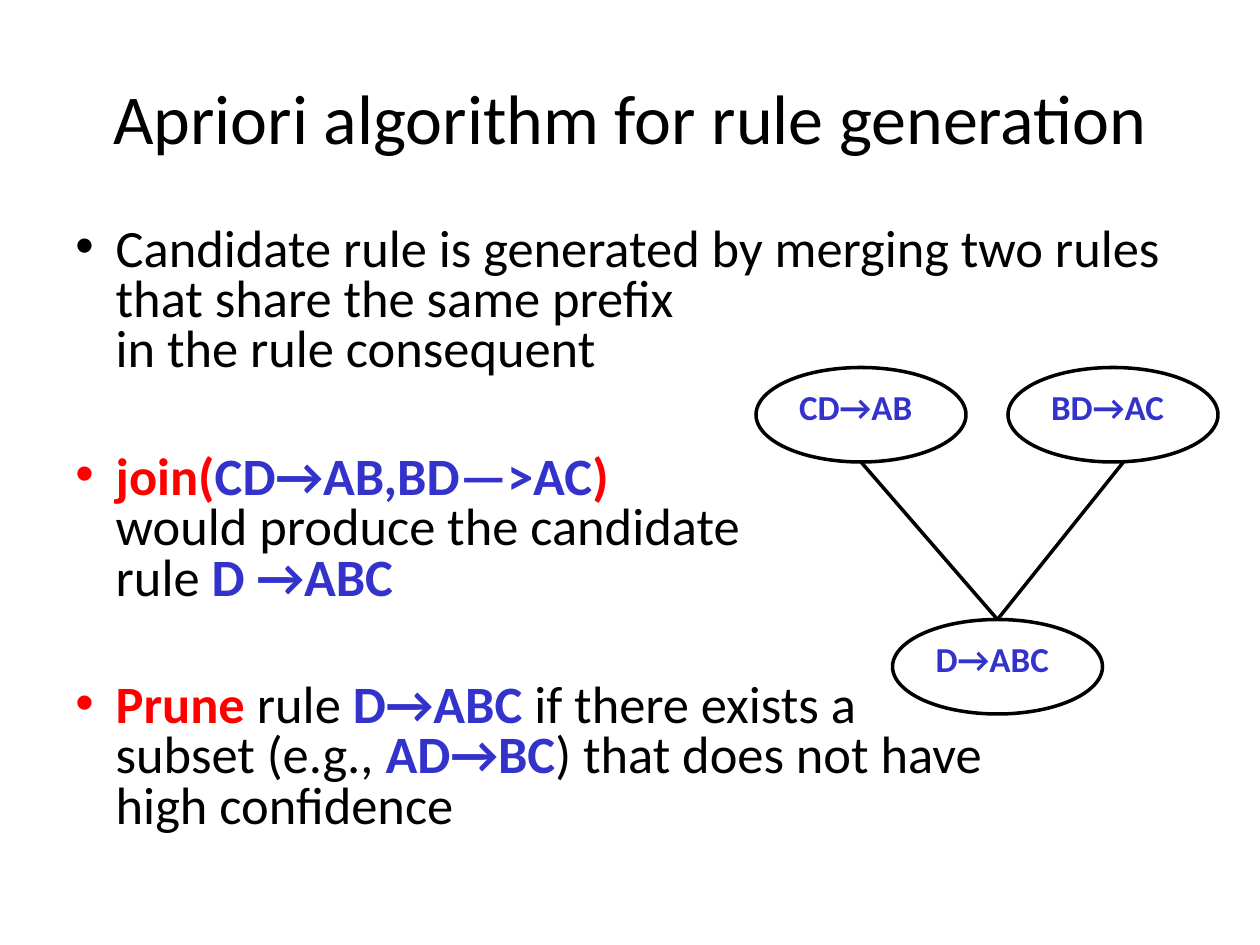
from lxml import etree
from pptx import Presentation
from pptx import util as u
from pptx.dml.color import RGBColor
from pptx.enum import shapes, text
from pptx.oxml.ns import qn

FONT = "Calibri"
BLACK, RED, BLUE = "000000", "FF0000", "3333CC"
UNIT = 1 / 12  # grid step of the diagram, in inches
NODE = (20, 9)  # oval width and height in grid steps

POINTS = [
    [("Candidate rule is generated by merging two rules that share "
      "the same prefix\nin the rule consequent", BLACK, False)],
    [("join(", RED, True), ("CD→AB,BD—>AC", BLUE, True), (")\n", RED, True),
     ("would produce the candidate\nrule ", BLACK, False),
     ("D →ABC", BLUE, True)],
    [("Prune", RED, True), (" rule ", BLACK, False), ("D→ABC ", BLUE, True),
     ("if there exists a\nsubset (e.g., ", BLACK, False),
     ("AD→BC", BLUE, True),
     (") that does not have\nhigh confidence", BLACK, False)],
]
NODES = [("CD→AB", 72, 35), ("BD→AC", 96, 35), ("D→ABC", 85, 59)]
EDGES = [(82, 44, 95, 59), (107, 44, 95, 59)]


def color(value):
    return RGBColor.from_string(value)


def grid(*steps):
    return [u.Inches(n * UNIT) for n in steps]


def write(para, words, size=30, tint=BLACK, bold=False):
    """Add words to a paragraph; a newline becomes a line break."""
    for i, part in enumerate(words.split("\n")):
        if i:
            para.add_line_break()
        if part:
            run = para.add_run()
            run.text = part
            run.font.name = FONT
            run.font.size = u.Pt(size)
            run.font.bold = bold
            run.font.color.rgb = color(tint)


def bullet(para, indent=0.32):
    props = para._p.get_or_add_pPr()
    props.set("marL", str(u.Inches(indent)))
    props.set("indent", str(-u.Inches(indent)))
    etree.SubElement(props, qn("a:buFont")).set("typeface", "Arial")
    etree.SubElement(props, qn("a:buChar")).set("char", "•")


def add_title(slide, words):
    title = slide.shapes.title
    title.left, title.top = u.Inches(0.5), u.Inches(0.21)
    title.width, title.height = u.Inches(9), u.Inches(1.43)
    title.text_frame.vertical_anchor = text.MSO_ANCHOR.MIDDLE
    para = title.text_frame.paragraphs[0]
    para.alignment = text.PP_ALIGN.CENTER
    write(para, words, size=40)


def add_list(slide, points):
    box = slide.shapes.add_textbox(
        u.Inches(0.5), u.Inches(1.75), u.Inches(9), u.Inches(4.95))
    frame = box.text_frame
    frame.word_wrap = True
    for i, runs in enumerate(points):
        para = frame.add_paragraph() if i else frame.paragraphs[0]
        para.line_spacing = 0.8
        para.space_before = u.Pt(44 if i else 7.5)
        bullet(para)
        for words, tint, bold in runs:
            write(para, words, tint=tint, bold=bold)


def add_node(slide, label, col, row):
    oval = slide.shapes.add_shape(
        shapes.MSO_SHAPE.OVAL, *grid(col, row, *NODE))
    oval.shadow.inherit = False
    oval.fill.background()
    oval.line.color.rgb = color(BLACK)
    oval.line.width = u.Pt(2)
    oval.text_frame.vertical_anchor = text.MSO_ANCHOR.TOP
    para = oval.text_frame.paragraphs[0]
    para.alignment = text.PP_ALIGN.LEFT
    para.line_spacing = 0.98
    write(para, label, size=20, tint=BLUE, bold=True)


def add_edge(slide, *ends):
    edge = slide.shapes.add_connector(
        shapes.MSO_CONNECTOR.STRAIGHT, *grid(*ends))
    edge.line.color.rgb = color(BLACK)
    edge.line.width = u.Pt(2)
    etree.SubElement(edge._element.spPr, qn("a:effectLst"))


def main():
    deck = Presentation()
    deck.slide_width, deck.slide_height = u.Inches(10), u.Inches(7.5)
    slide = deck.slides.add_slide(deck.slide_layouts[5])
    add_title(slide, "Apriori algorithm for rule generation")
    add_list(slide, POINTS)
    for node in NODES:
        add_node(slide, *node)
    for edge in EDGES:
        add_edge(slide, *edge)
    deck.save("out.pptx")


if __name__ == "__main__":
    main()
